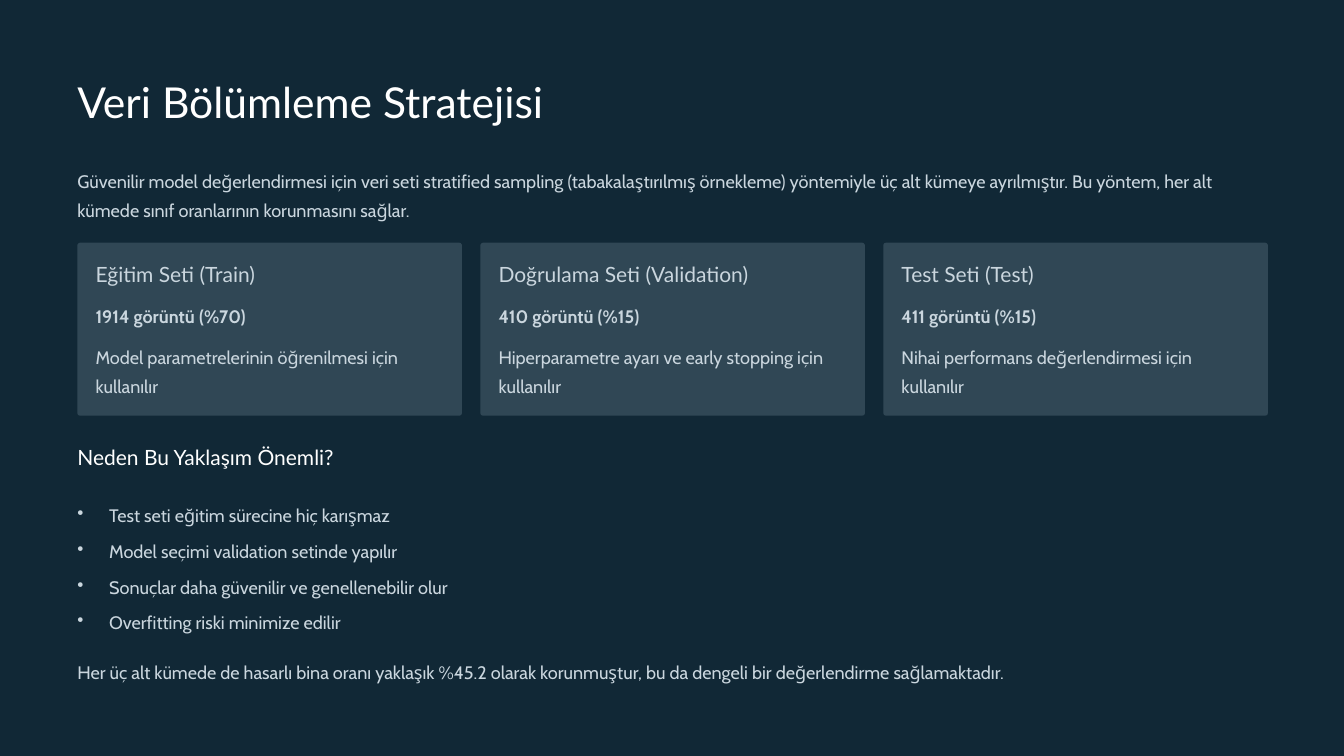
import pptx
import pptx.dml.color
import pptx.enum.shapes
import pptx.oxml
import pptx.oxml.ns
import pptx.util
from pptx.util import Cm

NAVY = pptx.dml.color.RGBColor(0x11, 0x28, 0x36)
SLATE = pptx.dml.color.RGBColor(0x30, 0x47, 0x55)
MIST = pptx.dml.color.RGBColor(0xCA, 0xD6, 0xDE)
WHITE = pptx.dml.color.RGBColor(0xFF, 0xFF, 0xFF)

TITLE = ("Lato", 36.5, 46, WHITE, False)
HEADING = ("Lato", 18, 23, WHITE, False)
CARD_HEADING = ("Lato", 18, 23, MIST, False)
BODY = ("Cabin", 15.5, 25, MIST, False)
BOLD = ("Cabin", 15.5, 25, MIST, True)

LEFT = 2.34
WIDTH = 36
CARD_WIDTH = 11.63
CARD_PITCH = (WIDTH - CARD_WIDTH) / 2
CARD_PADDING = 0.55

deck = pptx.Presentation()
deck.slide_width = Cm(40.64)
deck.slide_height = Cm(22.86)
slide = deck.slides.add_slide(deck.slide_layouts[6])
slide.background.fill.solid()
slide.background.fill.fore_color.rgb = NAVY


def add_text(left, top, width, height, lines, style, bullets=False):
    name, size, line_height, color, bold = style
    box = slide.shapes.add_textbox(Cm(left), Cm(top), Cm(width), Cm(height))
    frame = box.text_frame
    frame.word_wrap = True
    frame.margin_left = frame.margin_right = 0
    frame.margin_top = frame.margin_bottom = 0
    for index, line in enumerate(lines):
        para = frame.paragraphs[0] if index == 0 else frame.add_paragraph()
        para.text = line
        para.line_spacing = pptx.util.Pt(line_height)
        if index > 0:
            para.space_before = pptx.util.Pt(5.5)
        if bullets:
            properties = para._p.get_or_add_pPr()
            properties.set("marL", str(Cm(0.96)))
            properties.set("indent", str(Cm(-0.96)))
            bullet = pptx.oxml.parse_xml(
                f'<a:buChar {pptx.oxml.ns.nsdecls("a")} char="•"/>')
            properties.append(bullet)
        para.font.name = name
        para.font.size = pptx.util.Pt(size)
        para.font.bold = bold
        para.font.color.rgb = color


add_text(LEFT, 2.21, WIDTH, 1.63, ["Veri Bölümleme Stratejisi"], TITLE)
add_text(LEFT, 4.93, WIDTH, 1.78, [
    "Güvenilir model değerlendirmesi için veri seti stratified sampling "
    "(tabakalaştırılmış örnekleme) yöntemiyle üç alt kümeye ayrılmıştır. "
    "Bu yöntem, her alt kümede sınıf oranlarının korunmasını sağlar."], BODY)

cards = [
    ("Eğitim Seti (Train)", "1914 görüntü (%70)",
     "Model parametrelerinin öğrenilmesi için kullanılır"),
    ("Doğrulama Seti (Validation)", "410 görüntü (%15)",
     "Hiperparametre ayarı ve early stopping için kullanılır"),
    ("Test Seti (Test)", "411 görüntü (%15)",
     "Nihai performans değerlendirmesi için kullanılır"),
]
for column, (heading, count, purpose) in enumerate(cards):
    card_left = LEFT + column * CARD_PITCH
    card = slide.shapes.add_shape(
        pptx.enum.shapes.MSO_SHAPE.ROUNDED_RECTANGLE,
        Cm(card_left), Cm(7.34), Cm(CARD_WIDTH), Cm(5.23))
    card.adjustments[0] = 0.016
    card.shadow.inherit = False
    card.fill.solid()
    card.fill.fore_color.rgb = SLATE
    card.line.fill.background()
    text_left = card_left + CARD_PADDING
    text_width = CARD_WIDTH - 2 * CARD_PADDING
    add_text(text_left, 7.87, text_width, 0.81, [heading], CARD_HEADING)
    add_text(text_left, 9.02, text_width, 0.89, [count], BOLD)
    add_text(text_left, 10.24, text_width, 1.78, [purpose], BODY)

add_text(LEFT, 13.39, WIDTH, 0.81, ["Neden Bu Yaklaşım Önemli?"], HEADING)
add_text(LEFT, 15.04, WIDTH, 4.11, [
    "Test seti eğitim sürecine hiç karışmaz",
    "Model seçimi validation setinde yapılır",
    "Sonuçlar daha güvenilir ve genellenebilir olur",
    "Overfitting riski minimize edilir",
], BODY, bullets=True)
add_text(LEFT, 19.76, WIDTH, 0.89, [
    "Her üç alt kümede de hasarlı bina oranı yaklaşık %45.2 olarak "
    "korunmuştur, bu da dengeli bir değerlendirme sağlamaktadır."], BODY)

deck.save("out.pptx")
